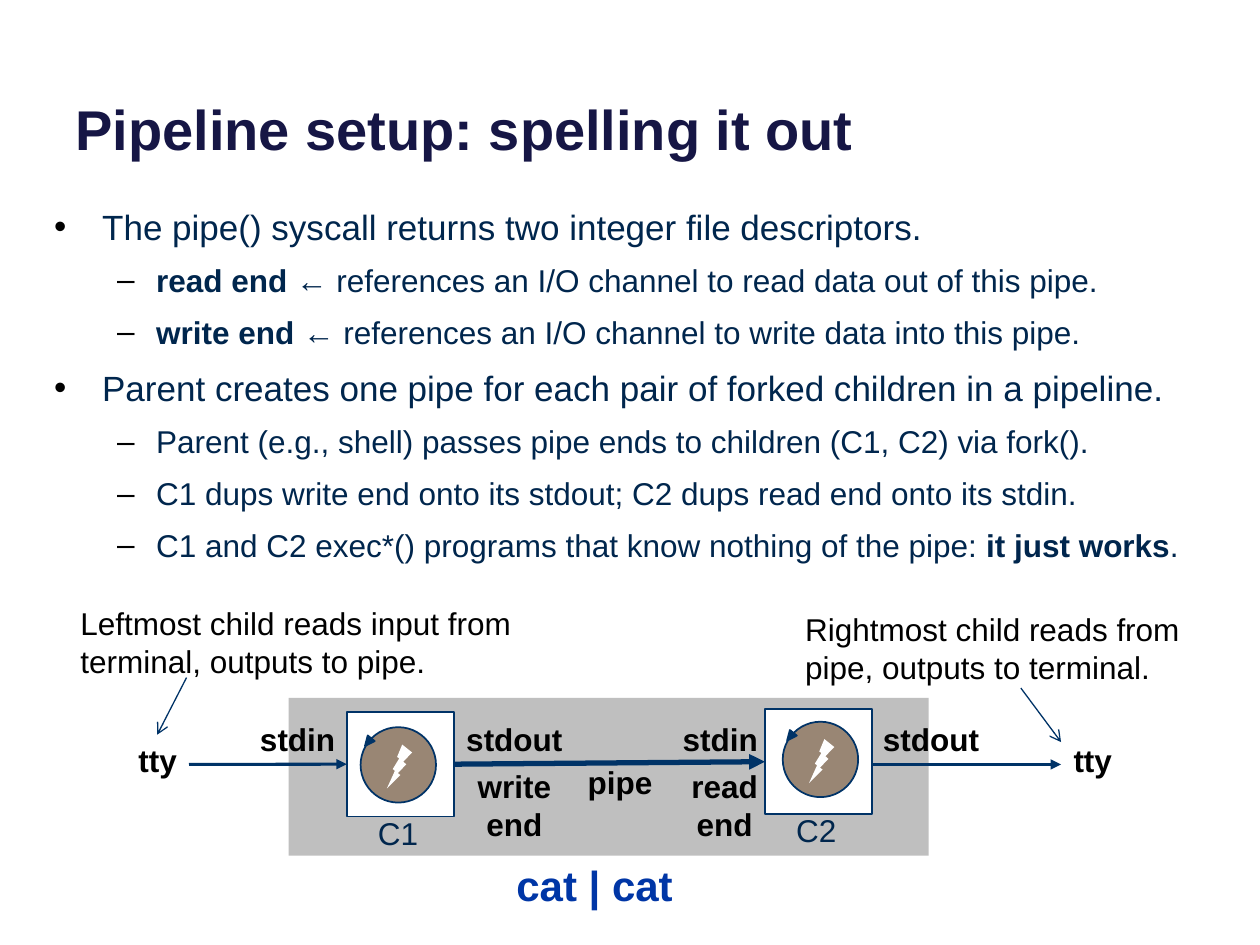
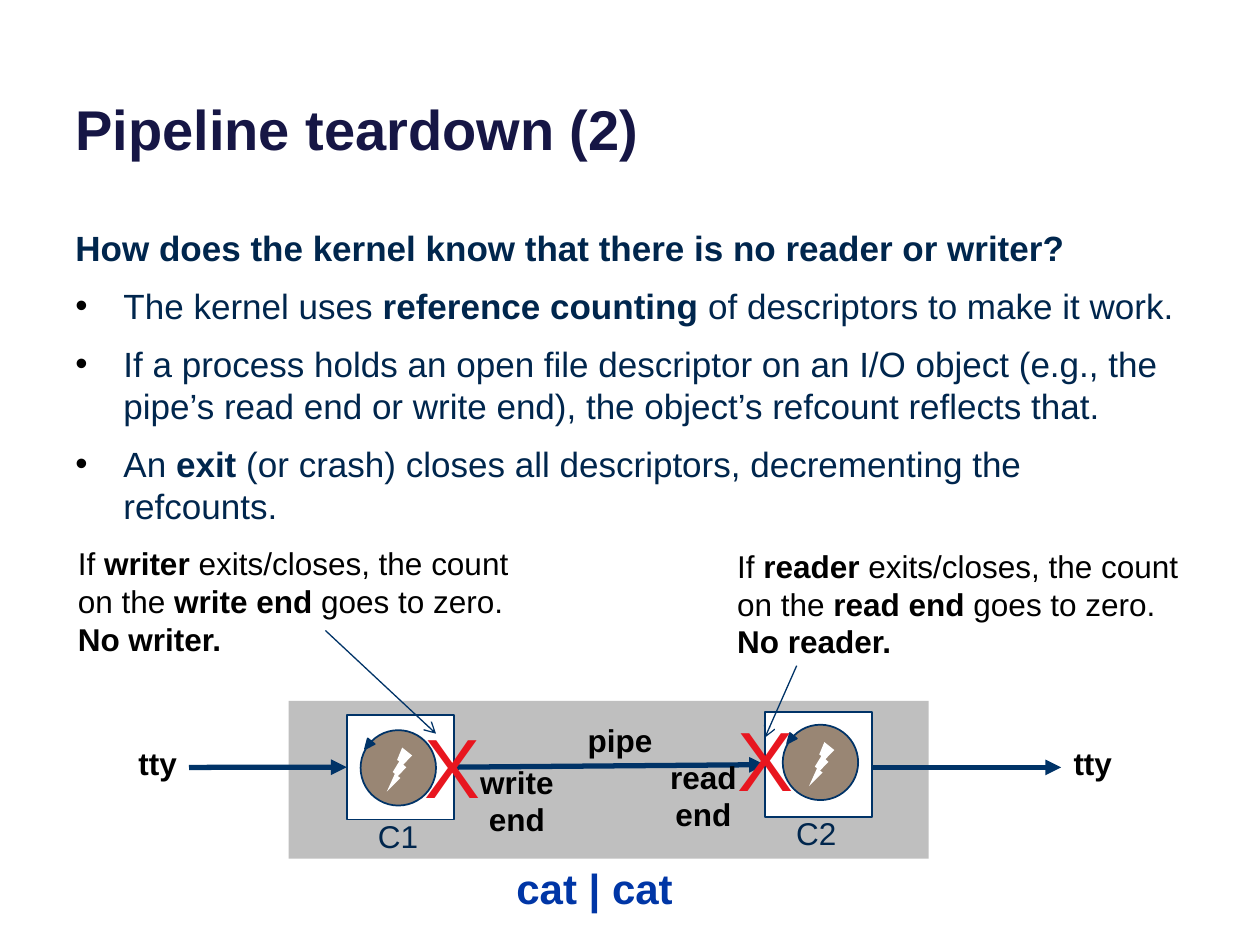
from lxml import etree
from pptx import Presentation
from pptx.dml.color import RGBColor
from pptx.enum.shapes import MSO_CONNECTOR, MSO_SHAPE
from pptx.enum.text import MSO_ANCHOR, PP_ALIGN
from pptx.oxml.ns import qn
from pptx.util import Cm, Pt

FONT = "Arial"
BLACK = RGBColor(0x00, 0x00, 0x00)
WHITE = RGBColor(0xFF, 0xFF, 0xFF)
TITLE_NAVY = RGBColor(0x16, 0x16, 0x45)
BODY_NAVY = RGBColor(0x00, 0x26, 0x4D)
LINE_NAVY = RGBColor(0x00, 0x33, 0x67)
COMMAND_BLUE = RGBColor(0x00, 0x36, 0xA6)
CROSS_RED = RGBColor(0xE8, 0x16, 0x1F)
BAND_GREY = RGBColor(0xBF, 0xBF, 0xBF)
DIAL_TAN = RGBColor(0x99, 0x86, 0x74)

# level: bullet, left margin cm, hanging cm, size pt, space before pt
LEVELS = {
    0: (None, 0, 0, 20, 9),
    1: ("•", 0.97, 0.97, 20, 9),
    2: ("–", 2.06, 0.79, 18, 8),
}
BAND_LEFT, BAND_W, BAND_H = 5.82, 12.9, 3.18
BOX_W, BOX_H = 2.16, 2.11
DIAL = 1.52
LABEL_W = 2.54
WIRE_Y = 1.34


def add_runs(p, text, size, color, bold=False):
    """Add text to a paragraph; parts between ** marks are bold."""
    for i, part in enumerate(text.split("**")):
        if part:
            r = p.add_run()
            r.text = part
            r.font.name = FONT
            r.font.size = Pt(size)
            r.font.bold = bold or i % 2 == 1
            r.font.color.rgb = color


def add_frame(s, x, y, w, h):
    tf = s.shapes.add_textbox(Cm(x), Cm(y), Cm(w), Cm(h)).text_frame
    tf.word_wrap = True
    return tf


def add_text(s, x, y, w, h, lines, size=18, color=BLACK, bold=False,
             align=PP_ALIGN.LEFT):
    tf = add_frame(s, x, y, w, h)
    for i, line in enumerate(lines):
        p = tf.add_paragraph() if i else tf.paragraphs[0]
        p.alignment = align
        add_runs(p, line, size, color, bold)
    return tf


def add_label(s, x, y, text, h=1.04):
    add_text(s, x, y, LABEL_W, h, [text], bold=True, align=PP_ALIGN.CENTER)


def add_shape(shapes, kind, x, y, w, h, fill, line=None):
    sp = shapes.add_shape(kind, Cm(x), Cm(y), Cm(w), Cm(h))
    sp.shadow.inherit = False
    sp.fill.solid()
    sp.fill.fore_color.rgb = fill
    if line is None:
        sp.line.fill.background()
    else:
        sp.line.color.rgb = line
        sp.line.width = Pt(1)
    return sp


def add_arrow(s, x1, y1, x2, y2, width, head="triangle"):
    cxn = s.shapes.add_connector(MSO_CONNECTOR.STRAIGHT,
                                 Cm(x1), Cm(y1), Cm(x2), Cm(y2))
    cxn.line.color.rgb = LINE_NAVY
    cxn.line.width = Pt(width)
    sp_pr = cxn._element.spPr
    etree.SubElement(sp_pr.find(qn("a:ln")), qn("a:tailEnd"), type=head)
    etree.SubElement(sp_pr, qn("a:effectLst"))
    return cxn


def set_bullet(p, char, margin, hanging):
    p_pr = p._p.get_or_add_pPr()
    p_pr.set("marL", str(Cm(margin)))
    p_pr.set("indent", str(-Cm(hanging)))
    if char is None:
        etree.SubElement(p_pr, qn("a:buNone"))
        return
    color = etree.SubElement(p_pr, qn("a:buClr"))
    etree.SubElement(color, qn("a:srgbClr"), val=str(BLACK))
    etree.SubElement(p_pr, qn("a:buFont"), typeface=FONT)
    etree.SubElement(p_pr, qn("a:buChar"), char=char)


def add_title(s, text):
    tf = add_text(s, 1.27, 0, 22.86, 3.38, [text], 32, TITLE_NAVY, True)
    tf.vertical_anchor = MSO_ANCHOR.BOTTOM


def add_body(s, x, y, w, h, items):
    tf = add_frame(s, x, y, w, h)
    for i, (level, text) in enumerate(items):
        char, margin, hanging, size, before = LEVELS[level]
        p = tf.add_paragraph() if i else tf.paragraphs[0]
        set_bullet(p, char, margin, hanging)
        if i:
            p.space_before = Pt(before)
        add_runs(p, text, size, BODY_NAVY)


def add_dial(s, x, y):
    """Draw the running-process symbol: a cycle with a lightning bolt."""
    shapes = s.shapes.add_group_shape().shapes
    add_shape(shapes, MSO_SHAPE.OVAL, x, y, DIAL, DIAL, DIAL_TAN, LINE_NAVY)
    bolt = add_shape(shapes, MSO_SHAPE.LIGHTNING_BOLT,
                     x + 0.53, y + 0.35, 0.51, 0.89, WHITE)
    bolt._element.spPr.get_or_add_xfrm().set("flipH", "1")
    tip = add_shape(shapes, MSO_SHAPE.ISOSCELES_TRIANGLE,
                    x + 0.06, y + 0.2, 0.18, 0.2, LINE_NAVY, LINE_NAVY)
    tip.rotation = 219


def add_process(s, x, y, name, dial_dx, dial_dy):
    box = add_shape(s.shapes, MSO_SHAPE.RECTANGLE, x, y, BOX_W, BOX_H,
                    WHITE, LINE_NAVY)
    add_dial(s, x + dial_dx, y + dial_dy)
    add_text(s, x + 0.38, y + 1.93, 1.4, 1.02, [name], color=BODY_NAVY)
    return box


def add_pipeline(s, x, y, tty_width):
    """Draw tty, C1, pipe, C2, tty around a grey band at x, y."""
    add_shape(s.shapes, MSO_SHAPE.RECTANGLE, x, y, BAND_W, BAND_H, BAND_GREY)
    c1_x, c2_x = x + 1.17, x + 9.6
    c1 = add_process(s, c1_x, y + 0.28, "C1", 0.28, 0.31)
    c2 = add_process(s, c2_x, y + 0.23, "C2", 0.36, 0.25)

    wire_y = y + WIRE_Y
    pipe = add_arrow(s, c1_x + BOX_W, wire_y, c2_x, wire_y, 3)
    pipe.begin_connect(c1, 3)
    pipe.end_connect(c2, 1)
    tty_in = add_arrow(s, x - 2.01, wire_y, c1_x, wire_y, tty_width)
    tty_in.end_connect(c1, 1)
    add_arrow(s, c2_x + BOX_W, wire_y, x + 15.57, wire_y, tty_width)

    for dx in (-3.91, 14.94):
        add_label(s, x + dx, y + 0.74, "tty")
    tf = add_text(s, x + 4.34, y + 3.28, 4, 1.12, ["cat | cat"], 24,
                  COMMAND_BLUE, True)
    tf.paragraphs[0].line_spacing = 0.85


def add_callout(s, x, y, w, h, lines, start, end):
    """Place a remark at x, y and its pointer, given relative to x, y."""
    add_text(s, x, y, w, h, lines)
    add_arrow(s, x + start[0], y + start[1], x + end[0], y + end[1],
              0.75, "arrow")


def build_setup(s):
    add_title(s, "Pipeline setup: spelling it out")
    add_body(s, 0.84, 4.01, 23.5, 7.6, [
        (1, "The pipe() syscall returns two integer file descriptors."),
        (2, "**read end** ← references an I/O channel to read data out of "
            "this pipe."),
        (2, "**write end** ← references an I/O channel to write data into "
            "this pipe."),
        (1, "Parent creates one pipe for each pair of forked children in a "
            "pipeline."),
        (2, "Parent (e.g., shell) passes pipe ends to children (C1, C2) via "
            "fork()."),
        (2, "C1 dups write end onto its stdout; C2 dups read end onto its "
            "stdin."),
        (2, "C1 and C2 exec*() programs that know nothing of the pipe: "
            "**it just works**."),
    ])
    x, y = BAND_LEFT, 14.07
    add_pipeline(s, x, y, 1.75)
    for dx, text in ((-1.09, "stdin"), (3.28, "stdout"),
                     (7.43, "stdin"), (11.68, "stdout")):
        add_label(s, x + dx, y + 0.33, text)
    for dx, text in ((3.28, "write end"), (7.52, "read end")):
        add_label(s, x + dx, y + 1.27, text, 1.8)
    add_label(s, x + 5.41, y + 1.19, "pipe")
    add_callout(s, x - 4.45, y - 2.01, 9.42, 1.8,
                ["Leftmost child reads input from terminal, outputs to pipe."],
                (2.39, 1.6), (1.8, 2.75))
    add_callout(s, x + 10.16, y - 1.9, 9.42, 1.8,
                ["Rightmost child reads from pipe, outputs to terminal."],
                (4.6, 1.7), (5.41, 2.79))


def build_teardown(s):
    add_title(s, "Pipeline teardown (2)")
    add_body(s, 1.27, 4.45, 22.86, 6.4, [
        (0, "**How does the kernel know that there is no reader or writer?**"),
        (1, "The kernel uses **reference counting **of descriptors to make "
            "it work."),
        (1, "If a process holds an open file descriptor on an I/O object "
            "(e.g., the pipe’s read end or write end), the object’s refcount "
            "reflects that."),
        (1, "An **exit** (or crash) closes all descriptors, decrementing the "
            "refcounts."),
    ])
    x, y = BAND_LEFT, 14.13
    add_pipeline(s, x, y, 3)
    for dx, dy in ((2.49, 0.15), (8.79, 0)):
        add_text(s, x + dx, y + dy, 1.07, 2.31, ["X"], 48, CROSS_RED)
    add_label(s, x + 3.33, y + 1.12, "write end", 1.8)
    add_label(s, x + 7.09, y + 1.02, "read end", 1.8)
    add_label(s, x + 5.41, y + 0.28, "pipe")
    for dx, dy, who, end_name, start, end in (
            (-4.5, -3.28, "writer", "write end", (5.24, 1.86), (7.47, 3.94)),
            (8.79, -3.23, "reader", "read end", (1.45, 2.52), (0.81, 3.97))):
        add_callout(s, x + dx, y + dy, 9.96, 2.57,
                    [f"If **{who}** exits/closes, the count on the "
                     f"**{end_name}** goes to zero.", f"**No {who}.**"],
                    start, end)


def main():
    prs = Presentation()
    prs.slide_width, prs.slide_height = Cm(25.4), Cm(19.05)
    for build in (build_setup, build_teardown):
        build(prs.slides.add_slide(prs.slide_layouts[6]))
    prs.save("out.pptx")


if __name__ == "__main__":
    main()
